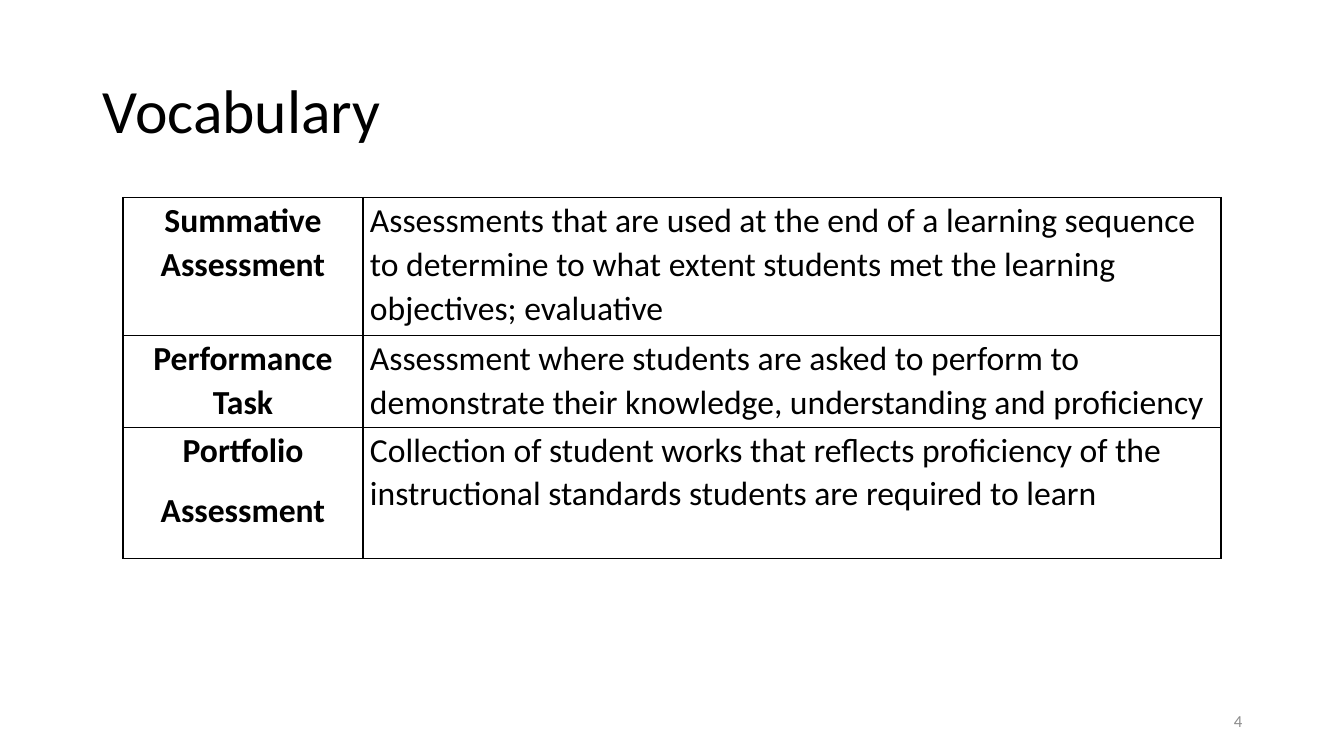
from lxml import etree
from pptx import Presentation
from pptx import util as u
from pptx.dml.color import RGBColor
from pptx.enum import text
from pptx.oxml import ns

BLACK, WHITE, GRAY = "000000", "FFFFFF", "8C8C8C"
ENTRIES = [
    (["Summative Assessment"],
     "Assessments that are used at the end of a learning sequence to determine "
     "to what extent students met the learning objectives; evaluative"),
    (["Performance Task"],
     "Assessment where students are asked to perform to demonstrate their "
     "knowledge, understanding and proficiency"),
    (["Portfolio", "Assessment"],
     "Collection of student works that reflects proficiency of the instructional "
     "standards students are required to learn"),
]


def color(value):
    return RGBColor.from_string(value)


def write(frame, lines, size=24, fill=BLACK, bold=False, font="Calibri",
          align=text.PP_ALIGN.LEFT, spacing=1.0, gap=0):
    for index, line in enumerate(lines):
        paragraph = frame.add_paragraph() if index else frame.paragraphs[0]
        paragraph.alignment = align
        paragraph.line_spacing = spacing
        paragraph.space_before = paragraph.space_after = u.Pt(gap)
        run = paragraph.add_run()
        run.text = line
        run.font.name, run.font.size, run.font.bold = font, u.Pt(size), bold
        run.font.color.rgb = color(fill)


class VocabularySlide:
    def __init__(self, deck):
        self.border_width = u.Pt(1)
        self.margin = u.Inches(0.07)
        self.slide = deck.slides.add_slide(deck.slide_layouts[6])

    def label(self, lines, left, top, width, height, **style):
        frame = self.slide.shapes.add_textbox(
            *map(u.Inches, (left, top, width, height))).text_frame
        frame.word_wrap = True
        frame.vertical_anchor = text.MSO_ANCHOR.MIDDLE
        write(frame, lines, **style)

    def border(self, cell):
        properties = cell._tc.get_or_add_tcPr()
        for index, side in enumerate(("lnL", "lnR", "lnT", "lnB")):
            line = etree.Element(ns.qn(f"a:{side}"), w=str(self.border_width))
            fill = etree.SubElement(line, ns.qn("a:solidFill"))
            etree.SubElement(fill, ns.qn("a:srgbClr"), val=BLACK)
            properties.insert(index, line)

    def cell(self, cell, lines, **style):
        cell.margin_left = cell.margin_right = self.margin
        cell.margin_top = cell.margin_bottom = 0
        cell.fill.solid()
        cell.fill.fore_color.rgb = color(WHITE)
        self.border(cell)
        write(cell.text_frame, lines, spacing=1.07, gap=6, **style)

    def glossary(self, entries, left, top, widths, heights):
        glossary = self.slide.shapes.add_table(
            len(entries), len(widths),
            *map(u.Inches, (left, top, sum(widths), sum(heights)))).table
        glossary.first_row = glossary.horz_banding = False
        for column, width in zip(glossary.columns, widths):
            column.width = u.Inches(width)
        for row, height, (term, meaning) in zip(glossary.rows, heights, entries):
            row.height = u.Inches(height)
            self.cell(row.cells[0], term, bold=True, align=text.PP_ALIGN.CENTER)
            self.cell(row.cells[1], [meaning])


def main():
    deck = Presentation()
    deck.slide_width, deck.slide_height = u.Inches(13.33), u.Inches(7.5)
    page = VocabularySlide(deck)
    page.label(["Vocabulary"], 0.92, 0.4, 11.5, 1.45, size=44, spacing=0.9)
    page.label(["4"], 9.42, 6.95, 3, 0.4, size=12, fill=GRAY,
               align=text.PP_ALIGN.RIGHT)
    page.glossary(ENTRIES, 1.22, 1.96, [2.38, 8.51], [1.37, 0.91, 1.3])
    deck.save("out.pptx")


if __name__ == "__main__":
    main()
